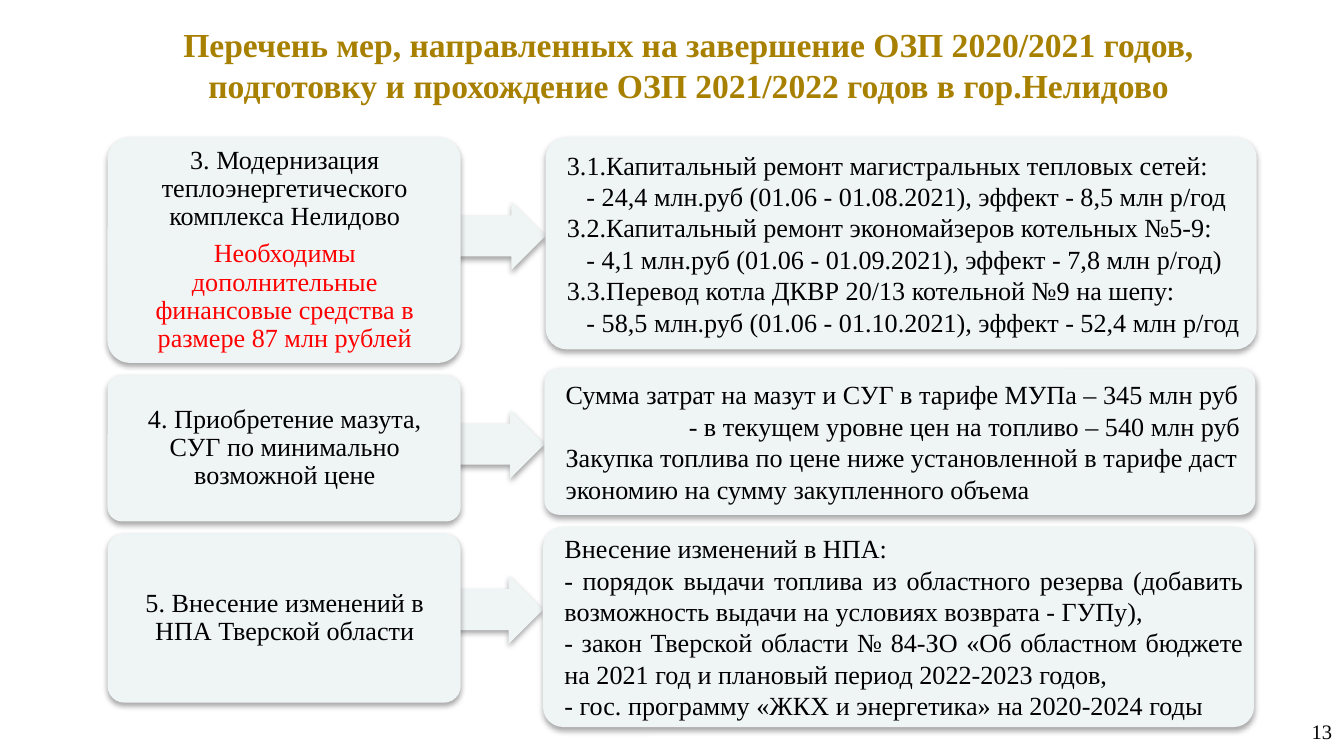
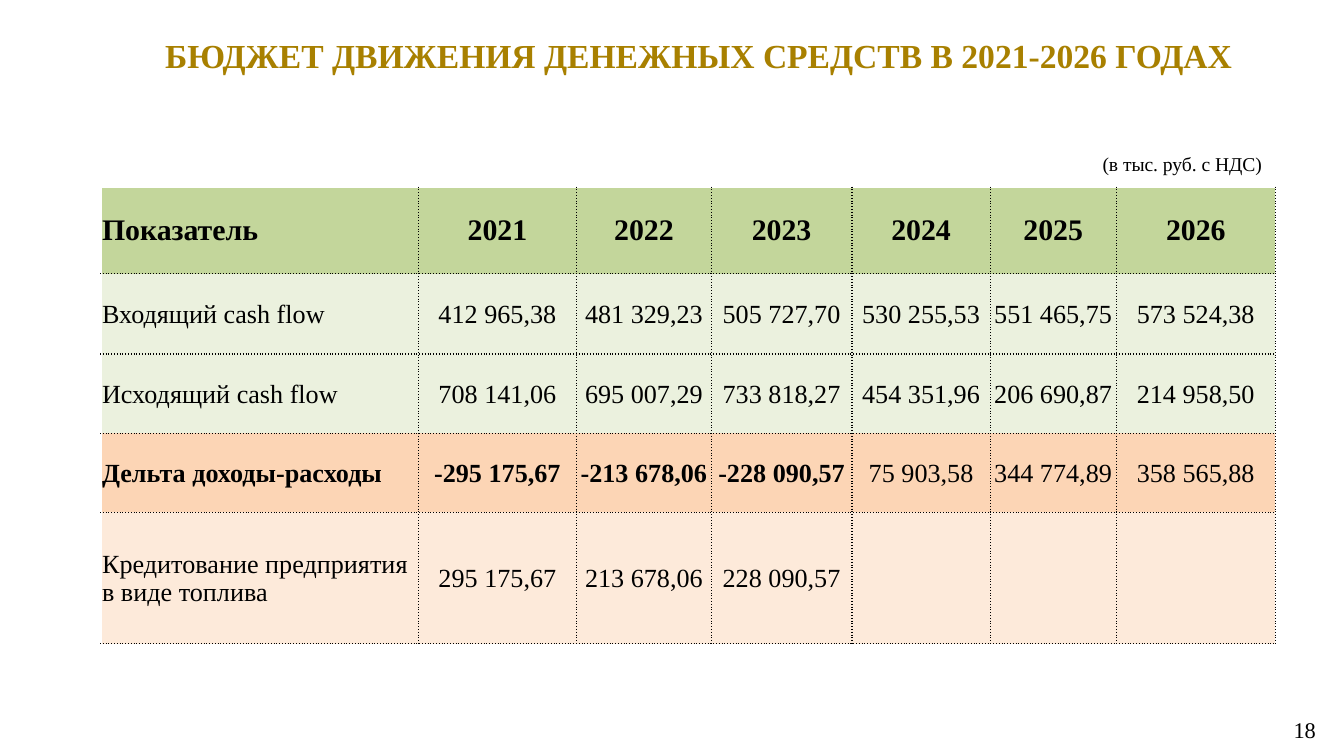
from lxml import etree
from pptx import Presentation
from pptx.dml.color import RGBColor
from pptx.enum import shapes, text
from pptx.oxml import parse_xml
from pptx.oxml.ns import nsdecls, qn
from pptx.util import Pt

FONT = "Times New Roman"
COLORS = {
    "title": "A88000",
    "text": "000000",
    "alert": "FF0000",
    "card": "EFF4F5",
    "header": "C3D69B",
    "flow": "EBF1DE",
    "delta": "FCD5B5",
    "credit": "FDEADA",
}
LEFT, CENTER = text.PP_ALIGN.LEFT, text.PP_ALIGN.CENTER
RIGHT, JUSTIFY = text.PP_ALIGN.RIGHT, text.PP_ALIGN.JUSTIFY
MIDDLE, TOP = text.MSO_ANCHOR.MIDDLE, text.MSO_ANCHOR.TOP

MEASURE_X, MEASURE_WIDTH = 57.6, 189.2
DETAIL_WIDTH = 380.9
ARROW_X, ARROW_HEIGHT = 243, 36.7

# Measure and detail cards: top and height; paragraphs: wording and left indent.
MEASURES = [
    {
        "measure": (73.4, 121),
        "detail": (292.3, 73.4, 113.8),
        "arrow_top": 108,
        "name": "3. Модернизация теплоэнергетического комплекса Нелидово",
        "alert": "Необходимы дополнительные финансовые средства в размере 87 млн рублей",
        "align": LEFT,
        "lines": [
            ("3.1.Капитальный ремонт магистральных тепловых сетей:", 0),
            ("- 24,4 млн.руб (01.06 - 01.08.2021), эффект - 8,5 млн р/год", 10.5),
            ("3.2.Капитальный ремонт экономайзеров котельных №5-9:", 0),
            ("- 4,1 млн.руб (01.06 - 01.09.2021), эффект - 7,8 млн р/год)", 10.5),
            ("3.3.Перевод котла ДКВР 20/13 котельной №9 на шепу:", 0),
            ("- 58,5 млн.руб (01.06 - 01.10.2021), эффект - 52,4 млн р/год", 10.5),
        ],
    },
    {
        "measure": (200.9, 78.5),
        "detail": (291.6, 197.3, 78.5),
        "arrow_top": 219.6,
        "name": "4. Приобретение мазута, СУГ по минимально возможной цене",
        "align": LEFT,
        "lines": [
            ("Сумма затрат на мазут и СУГ в тарифе МУПа – 345 млн руб", 0),
            ("- в текущем уровне цен на топливо – 540 млн руб", 66),
            ("Закупка топлива по цене ниже установленной в тарифе даст "
             "экономию на сумму закупленного объема", 0),
        ],
    },
    {
        "measure": (285.8, 90.7),
        "detail": (290.9, 282.2, 107.3),
        "arrow_top": 308.2,
        "name": "5. Внесение изменений в НПА Тверской области",
        "align": JUSTIFY,
        "lines": [
            ("Внесение изменений в НПА:", 0),
            ("- порядок выдачи топлива из областного резерва (добавить "
             "возможность выдачи на условиях возврата - ГУПу),", 0),
            ("- закон Тверской области № 84-ЗО «Об областном бюджете "
             "на 2021 год и плановый период 2022-2023 годов,", 0),
            ("- гос. программу «ЖКХ и энергетика» на 2020-2024 годы", 0),
        ],
    },
]

COLUMN_WIDTHS = [170, 85, 72, 75.5, 74, 67.5, 85.3]
# Row height, fill, values.
BUDGET_ROWS = [
    (46.3, "header", ["Показатель", "2021", "2022", "2023", "2024", "2025", "2026"]),
    (43, "flow", ["Входящий cash flow", "412 965,38", "481 329,23", "505 727,70",
                  "530 255,53", "551 465,75", "573 524,38"]),
    (42.4, "flow", ["Исходящий cash flow", "708 141,06", "695 007,29", "733 818,27",
                    "454 351,96", "206 690,87", "214 958,50"]),
    (42.4, "delta", ["Дельта доходы-расходы", "-295 175,67", "-213 678,06",
                     "-228 090,57", "75 903,58", "344 774,89", "358 565,88"]),
    (70.5, "credit", ["Кредитование предприятия в виде топлива", "295 175,67",
                      "213 678,06", "228 090,57", "", "", ""]),
]


def rgb(name):
    return RGBColor.from_string(COLORS[name])


def style_paragraph(paragraph, size, color="text", bold=False, align=LEFT):
    paragraph.alignment = align
    for run in paragraph.runs:
        run.font.name = FONT
        run.font.size = Pt(size)
        run.font.bold = bold
        run.font.color.rgb = rgb(color)


def add_text_box(parent, box, paragraphs, anchor=TOP, wrap=True, margins=None):
    """Add a text box and return its paragraphs; margins are (horizontal, vertical)."""
    frame = parent.shapes.add_textbox(*map(Pt, box)).text_frame
    frame.word_wrap = wrap
    frame.vertical_anchor = anchor
    if margins:
        frame.margin_left = frame.margin_right = Pt(margins[0])
        frame.margin_top = frame.margin_bottom = Pt(margins[1])
    frame.text = "\n".join(paragraphs)
    return frame.paragraphs


def add_line(parent, box, wording, size, align=LEFT, color="text", bold=False, **options):
    paragraph, = add_text_box(parent, box, [wording], **options)
    style_paragraph(paragraph, size, color, bold, align)


def add_title(slide, box, wording, anchor):
    add_line(slide, box, wording, 18, CENTER, "title", True, anchor=anchor)


def add_block(parent, kind, box, adjustments):
    """Add a pale shape without outline and with a soft shadow below it."""
    shape = parent.shapes.add_shape(kind, *map(Pt, box))
    for index, value in enumerate(adjustments):
        shape.adjustments[index] = value
    shape.fill.solid()
    shape.fill.fore_color.rgb = rgb("card")
    shape.line.fill.background()
    shape.shadow.inherit = False
    effects = shape.element.spPr.find(qn("a:effectLst"))
    effects.append(parse_xml(
        f'<a:outerShdw {nsdecls("a")} blurRad="{Pt(3.1)}" dist="{Pt(1.8)}" '
        'dir="5400000" rotWithShape="0"><a:srgbClr val="000000">'
        '<a:alpha val="35000"/></a:srgbClr></a:outerShdw>'))


def add_card(slide, box, paragraphs, indent, label_width):
    """Group a rounded card with its vertically centred label; return the paragraphs."""
    left, top, width, height = box
    group = slide.shapes.add_group_shape()
    add_block(group, shapes.MSO_SHAPE.ROUNDED_RECTANGLE, box, [0.1])
    label = (left + indent, top + 2, label_width, height - 4)
    return add_text_box(group, label, paragraphs, MIDDLE, margins=(3, 3))


def add_measure(slide, measure):
    detail_x, detail_top, detail_height = measure["detail"]
    arrow = (ARROW_X, measure["arrow_top"], detail_x - ARROW_X, ARROW_HEIGHT)
    add_block(slide, shapes.MSO_SHAPE.RIGHT_ARROW, arrow, [0.6, 0.5])

    top, height = measure["measure"]
    names = [measure[key] for key in ("name", "alert") if key in measure]
    card = (MEASURE_X, top, MEASURE_WIDTH, height)
    for paragraph, color in zip(add_card(slide, card, names, 5, 180), ("text", "alert")):
        style_paragraph(paragraph, 14, color, align=CENTER)
        paragraph.line_spacing = 0.9
        if color == "text" and len(names) > 1:
            paragraph.space_after = Pt(4.9)

    card = (detail_x, detail_top, DETAIL_WIDTH, detail_height)
    lines = [wording for wording, _ in measure["lines"]]
    paragraphs = add_card(slide, card, lines, 8.4, 370)
    for paragraph, (_, indent) in zip(paragraphs, measure["lines"]):
        style_paragraph(paragraph, 14, align=measure["align"])
        if indent:
            properties = paragraph._p.get_or_add_pPr()
            properties.set("marL", str(Pt(indent)))
            properties.set("indent", "0")


def add_dotted_borders(cell, sides):
    properties = cell._tc.get_or_add_tcPr()
    for side in sides:
        line = etree.SubElement(properties, qn(f"a:ln{side}"), w=str(Pt(0.75)))
        fill = etree.SubElement(line, qn("a:solidFill"))
        etree.SubElement(fill, qn("a:srgbClr"), val=COLORS["text"])
        etree.SubElement(line, qn("a:prstDash"), val="sysDot")


def add_budget_table(slide, left, top):
    heights = [height for height, _, _ in BUDGET_ROWS]
    size = (sum(COLUMN_WIDTHS), sum(heights))
    table = slide.shapes.add_table(
        len(heights), len(COLUMN_WIDTHS), *map(Pt, (left, top, *size))).table
    table.first_row = table.horz_banding = False
    for column, width in zip(table.columns, COLUMN_WIDTHS):
        column.width = Pt(width)
    for row_index, (height, fill, values) in enumerate(BUDGET_ROWS):
        table.rows[row_index].height = Pt(height)
        is_header = row_index == 0
        for column_index, value in enumerate(values):
            is_label = column_index == 0
            cell = table.cell(row_index, column_index)
            # The table is open at its left and top edges.
            sides = ("" if is_label else "L") + "R" + ("" if is_header else "T") + "B"
            add_dotted_borders(cell, sides)
            cell.fill.solid()
            cell.fill.fore_color.rgb = rgb(fill)
            cell.vertical_anchor = MIDDLE
            cell.margin_left = cell.margin_right = Pt(0.7)
            cell.margin_top = Pt(0 if is_header else 0.7)
            cell.margin_bottom = 0
            cell.text = value
            bold = is_header or (fill == "delta" and (is_label or value.startswith("-")))
            style_paragraph(cell.text_frame.paragraphs[0], 16 if is_header else 14,
                            bold=bold, align=LEFT if is_label else CENTER)


def build_measures_slide(slide):
    add_line(slide, (695.5, 381.6, 26, 20.9), "13", 11, wrap=False)
    for measure in MEASURES:
        add_measure(slide, measure)
    add_title(slide, (65.5, 9.4, 607, 50.4),
              "Перечень мер, направленных на завершение ОЗП 2020/2021 годов, "
              "подготовку и прохождение ОЗП 2021/2022 годов в гор.Нелидово", MIDDLE)


def build_budget_slide(slide):
    add_line(slide, (586, 380.2, 126, 21.6), "18", 12, RIGHT, anchor=MIDDLE)
    add_line(slide, (573.8, 77.8, 109.4, 20.2), "(в тыс. руб. с НДС)", 10.5, RIGHT)
    add_budget_table(slide, 54, 100.4)
    add_title(slide, (65.5, 15.1, 617.8, 27.4),
              "БЮДЖЕТ ДВИЖЕНИЯ ДЕНЕЖНЫХ СРЕДСТВ В 2021-2026 ГОДАХ", TOP)


def main():
    presentation = Presentation()
    presentation.slide_width, presentation.slide_height = Pt(720), Pt(405)
    blank = presentation.slide_layouts[6]
    for build in (build_measures_slide, build_budget_slide):
        build(presentation.slides.add_slide(blank))
    presentation.save("out.pptx")


if __name__ == "__main__":
    main()
